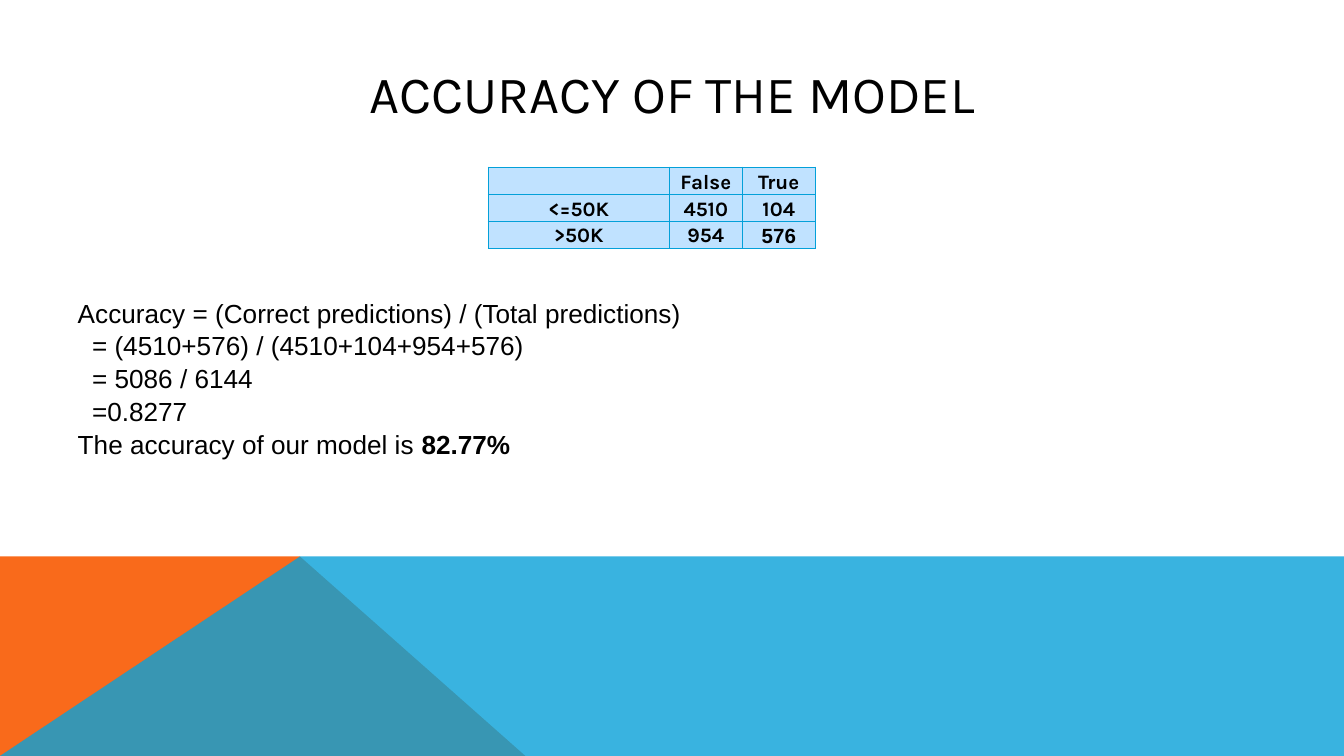
from lxml.etree import SubElement
from pptx import Presentation
from pptx.dml.color import RGBColor
from pptx.enum.text import MSO_ANCHOR, PP_ALIGN
from pptx.oxml.ns import qn
from pptx.util import Cm, Pt

ORANGE = RGBColor(0xF9, 0x6A, 0x1B)
BLUE = RGBColor(0x08, 0xA1, 0xD9)
BORDER = "03A0D9"
PALE_BLUE = RGBColor(0xC0, 0xE2, 0xFF)
BLACK = RGBColor(0, 0, 0)

PAGE_WIDTH, PAGE_HEIGHT = 25.4, 14.29
BAND_TOP, PEAK = 10.52, 5.67


class AccuracyPage:
    heading = {"name": "Karla", "size": Pt(28), "bold": False}
    cell_text = {"name": "Karla", "size": Pt(11), "bold": True}
    body = {"name": "Arial", "size": Pt(14), "bold": False}

    def __init__(self, deck):
        self.page = deck.slides.add_slide(deck.slide_layouts[6])

    def add_span(self, para, text, style, **changes):
        span = para.add_run()
        span.text = text
        for key, value in {**style, **changes}.items():
            setattr(span.font, key, value)
        span.font.color.rgb = BLACK

    def polygon(self, points, color, opacity=100):
        corners = [(Cm(x), Cm(y)) for x, y in points]
        builder = self.page.shapes.build_freeform(*corners[0])
        builder.add_line_segments(corners[1:], close=True)
        shape = builder.convert_to_shape()
        shape.shadow.inherit = False
        shape.fill.solid()
        shape.fill.fore_color.rgb = color
        shape.line.fill.background()
        if opacity < 100:
            tint = shape._element.spPr.find(".//" + qn("a:srgbClr"))
            SubElement(tint, qn("a:alpha"), val=str(opacity * 1000))

    def text_box(self, left, top, width, height, **frame_format):
        box = self.page.shapes.add_textbox(Cm(left), Cm(top), Cm(width), Cm(height))
        frame = box.text_frame
        for key, value in {"word_wrap": True, **frame_format}.items():
            setattr(frame, key, value)
        return frame

    def title(self, text):
        margins = dict.fromkeys(("margin_left", "margin_top", "margin_right", "margin_bottom"), 0)
        frame = self.text_box(3.45, 1.27, 18.5, 1.09, vertical_anchor=MSO_ANCHOR.BOTTOM, **margins)
        para = frame.paragraphs[0]
        para.alignment = PP_ALIGN.CENTER
        para.line_spacing = 0.9
        self.add_span(para, text, self.heading)

    def explanation(self, lines):
        frame = self.text_box(1.22, 5.46, 23.01, 3.84)
        for index, (indent, spans) in enumerate(lines):
            para = frame.add_paragraph() if index else frame.paragraphs[0]
            para.line_spacing = 1.05
            para._p.get_or_add_pPr().set("marL", str(Cm(indent)))
            for text, bold in spans:
                self.add_span(para, text, self.body, bold=bold)

    def border(self, cell):
        properties = cell._tc.get_or_add_tcPr()
        for position, side in enumerate(("lnL", "lnR", "lnT", "lnB")):
            line = properties.makeelement(qn("a:" + side), {"w": str(Pt(0.75))})
            fill = SubElement(line, qn("a:solidFill"))
            SubElement(fill, qn("a:srgbClr"), val=BORDER)
            properties.insert(position, line)

    def table(self, left, top, widths, row_height, rows):
        frame = self.page.shapes.add_table(
            len(rows), len(widths), Cm(left), Cm(top),
            Cm(sum(widths)), Cm(row_height * len(rows)))
        grid = frame.table
        for column, width in zip(grid.columns, widths):
            column.width = Cm(width)
        cell_format = {
            "margin_left": Cm(0.03), "margin_right": Cm(0.03),
            "margin_top": Cm(0.03), "margin_bottom": 0,
            "vertical_anchor": MSO_ANCHOR.BOTTOM,
        }
        for row, values in zip(grid.rows, rows):
            row.height = Cm(row_height)
            for cell, text in zip(row.cells, values):
                for key, value in cell_format.items():
                    setattr(cell, key, value)
                cell.fill.solid()
                cell.fill.fore_color.rgb = PALE_BLUE
                self.border(cell)
                para = cell.text_frame.paragraphs[0]
                para.alignment = PP_ALIGN.CENTER
                para.font.size = self.cell_text["size"]
                if text:
                    font = "Arial" if text == "576" else "Karla"
                    self.add_span(para, text, self.cell_text, name=font)


def main():
    deck = Presentation()
    deck.slide_width, deck.slide_height = Cm(PAGE_WIDTH), Cm(PAGE_HEIGHT)
    page = AccuracyPage(deck)
    bottom_left, peak = (0, PAGE_HEIGHT), (PEAK, BAND_TOP)
    page.polygon([bottom_left, (0, BAND_TOP), peak, (9.93, PAGE_HEIGHT)], ORANGE)
    page.polygon([bottom_left, peak, (PAGE_WIDTH, BAND_TOP), (PAGE_WIDTH, PAGE_HEIGHT)], BLUE, 80)
    page.title("ACCURACY OF THE MODEL")
    page.table(9.23, 3.16, [3.42, 1.38, 1.38], 0.51, [
        ["", "False", "True"],
        ["<=50K", "4510", "104"],
        [">50K", "954", "576"],
    ])
    page.explanation([
        (0, [("Accuracy = (Correct predictions) / (Total predictions)", False)]),
        (0.27, [("= (4510+576) / (4510+104+954+576)", False)]),
        (0.27, [("= 5086 / 6144", False)]),
        (0.27, [("=0.8277", False)]),
        (0, [("The accuracy of our model is ", False), ("82.77%", True)]),
    ])
    deck.save("out.pptx")


if __name__ == "__main__":
    main()
